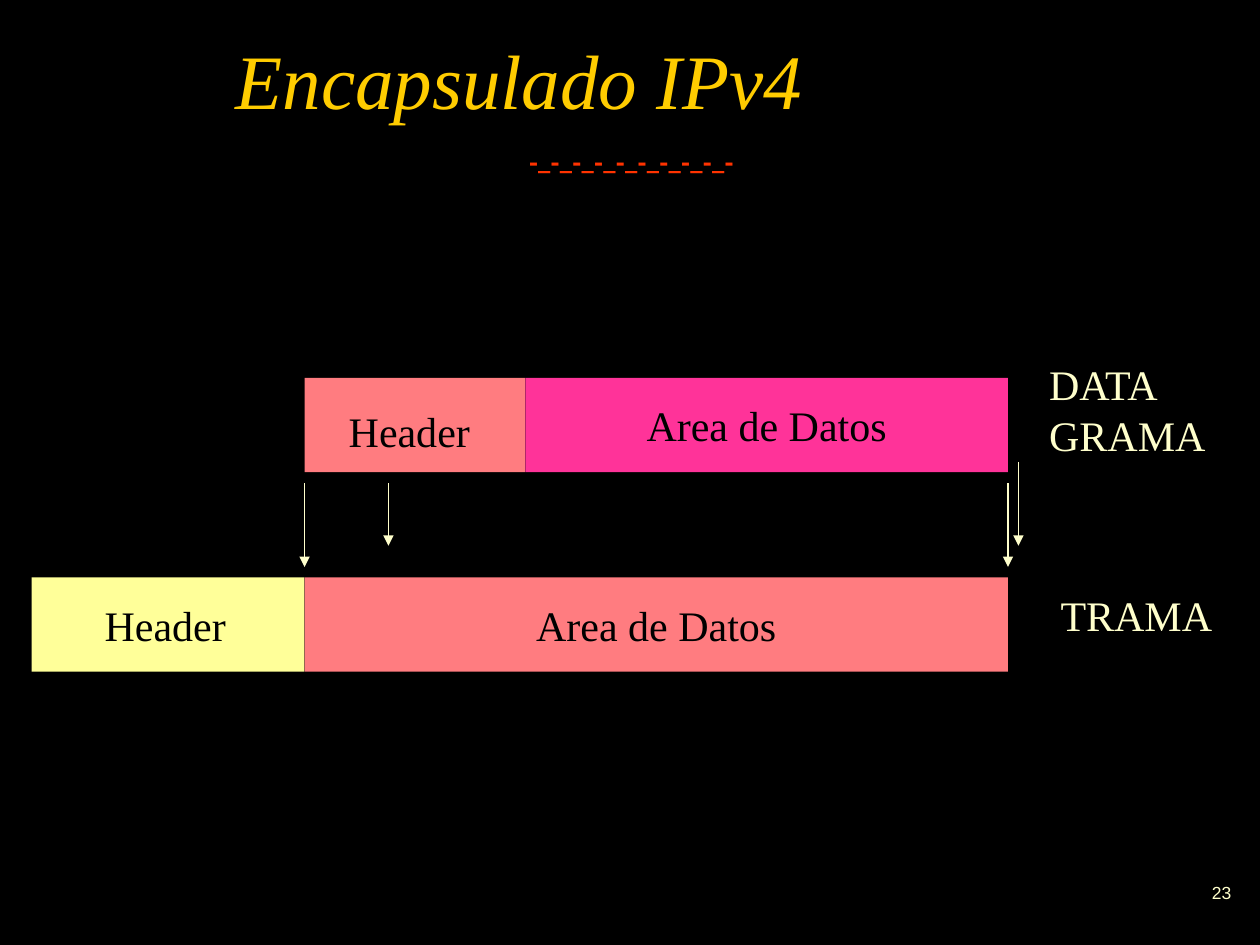
from lxml import etree
from pptx import Presentation
from pptx.dml.color import RGBColor
from pptx.enum.shapes import MSO_CONNECTOR, MSO_SHAPE
from pptx.enum.text import MSO_ANCHOR, PP_ALIGN
from pptx.oxml.ns import qn
from pptx.util import Cm, Pt

RECT = MSO_SHAPE.RECTANGLE
STRAIGHT = MSO_CONNECTOR.STRAIGHT
TOP, MIDDLE = MSO_ANCHOR.TOP, MSO_ANCHOR.MIDDLE
LEFT, CENTER, RIGHT = PP_ALIGN.LEFT, PP_ALIGN.CENTER, PP_ALIGN.RIGHT

BLACK = RGBColor(0x00, 0x00, 0x00)
GOLD = RGBColor(0xFF, 0xCC, 0x00)
CREAM = RGBColor(0xFF, 0xFF, 0xCC)
RED = RGBColor(0xFF, 0x33, 0x00)
YELLOW = RGBColor(0xFF, 0xFF, 0x99)
SALMON = RGBColor(0xFF, 0x7C, 0x80)
PINK = RGBColor(0xFF, 0x33, 0x99)

SERIF = "Times New Roman"
BAR_HEIGHT = 1.9


def write(tf, lines, color, size=24, font=SERIF, align=LEFT, anchor=TOP,
          bold=False, italic=False):
    tf.vertical_anchor = anchor
    for i, line in enumerate(lines):
        p = tf.add_paragraph() if i else tf.paragraphs[0]
        p.alignment = align
        r = p.add_run()
        r.text = line
        r.font.name, r.font.size = font, Pt(size)
        r.font.bold, r.font.italic = bold, italic
        r.font.color.rgb = color


def add_text(slide, box, lines, color, **style):
    tf = slide.shapes.add_textbox(*map(Cm, box)).text_frame
    tf.word_wrap = True
    write(tf, lines, color, **style)
    return tf


def add_bar(slide, box, fill, lines=()):
    sp = slide.shapes.add_shape(RECT, *map(Cm, box))
    sp.shadow.inherit = False
    sp.fill.solid()
    sp.fill.fore_color.rgb = fill
    sp.line.fill.background()
    write(sp.text_frame, lines, BLACK, align=CENTER, anchor=MIDDLE)


def add_arrow(slide, x, top, bottom):
    line = slide.shapes.add_connector(STRAIGHT, Cm(x), Cm(top), Cm(x), Cm(bottom))
    line.line.color.rgb = CREAM
    line.line.width = Pt(0.75)
    etree.SubElement(line.line._get_or_add_ln(), qn("a:tailEnd"), type="triangle")
    etree.SubElement(line._element.spPr, qn("a:effectLst"))


def add_heading(slide, x, y, w, h):
    add_text(slide, (x, y, w, h), ["Encapsulado IPv4"], GOLD,
             size=44, italic=True, anchor=MIDDLE)
    tf = add_text(slide, (x - 1.45, y + 2.37, w + 1.88, 0.5), ["-_" * 9 + "-"], RED,
                  size=14, font="Montserrat", bold=True, align=CENTER)
    tf.margin_left = tf.margin_right = tf.margin_top = tf.margin_bottom = 0


def add_datagram(slide, x, y, w):
    split = 4.45
    add_bar(slide, (x, y, split, BAR_HEIGHT), SALMON)
    add_bar(slide, (x + split, y, w - split, BAR_HEIGHT), PINK, ["Area de Datos"])
    add_text(slide, (x + 0.64, y + 0.43, 2.95, 1.27), ["Header"], BLACK)
    add_text(slide, (x + w + 0.58, y - 0.51, 3.66, 2.29), ["DATA", "GRAMA"], CREAM)


def add_frame(slide, x, y, w):
    split = 5.5
    add_bar(slide, (x, y, split, BAR_HEIGHT), YELLOW)
    add_bar(slide, (x + split, y, w - split, BAR_HEIGHT), SALMON, ["Area de Datos"])
    add_text(slide, (x + 1.22, y + 0.33, 2.95, 1.27), ["Header"], BLACK)
    add_text(slide, (x + w + 0.81, y + 0.12, 3.58, 1.27), ["TRAMA"], CREAM)


def add_mapping(slide, x, y, w, h):
    for edge in (x, x + w):
        add_arrow(slide, edge, y, y + h)
    add_arrow(slide, x + 1.69, y, y + h - 0.43)
    add_arrow(slide, x + w + 0.21, y - 0.43, y + h - 0.43)


def main():
    prs = Presentation()
    prs.slide_width, prs.slide_height = Cm(25.4), Cm(19.05)
    s = prs.slides.add_slide(prs.slide_layouts[6])
    s.background.fill.solid()
    s.background.fill.fore_color.rgb = BLACK

    add_heading(s, 4.5, 0.6, 17.48, 1.96)
    add_frame(s, 0.64, 11.64, 19.68)
    add_mapping(s, 6.14, 9.74, 14.18, 1.69)
    add_datagram(s, 6.14, 7.62, 14.18)
    add_text(s, (19.79, 17.35, 5.28, 1.27), ["23"], CREAM,
             size=10, font="Arial", align=RIGHT, anchor=MIDDLE)
    prs.save("out.pptx")


if __name__ == "__main__":
    main()
